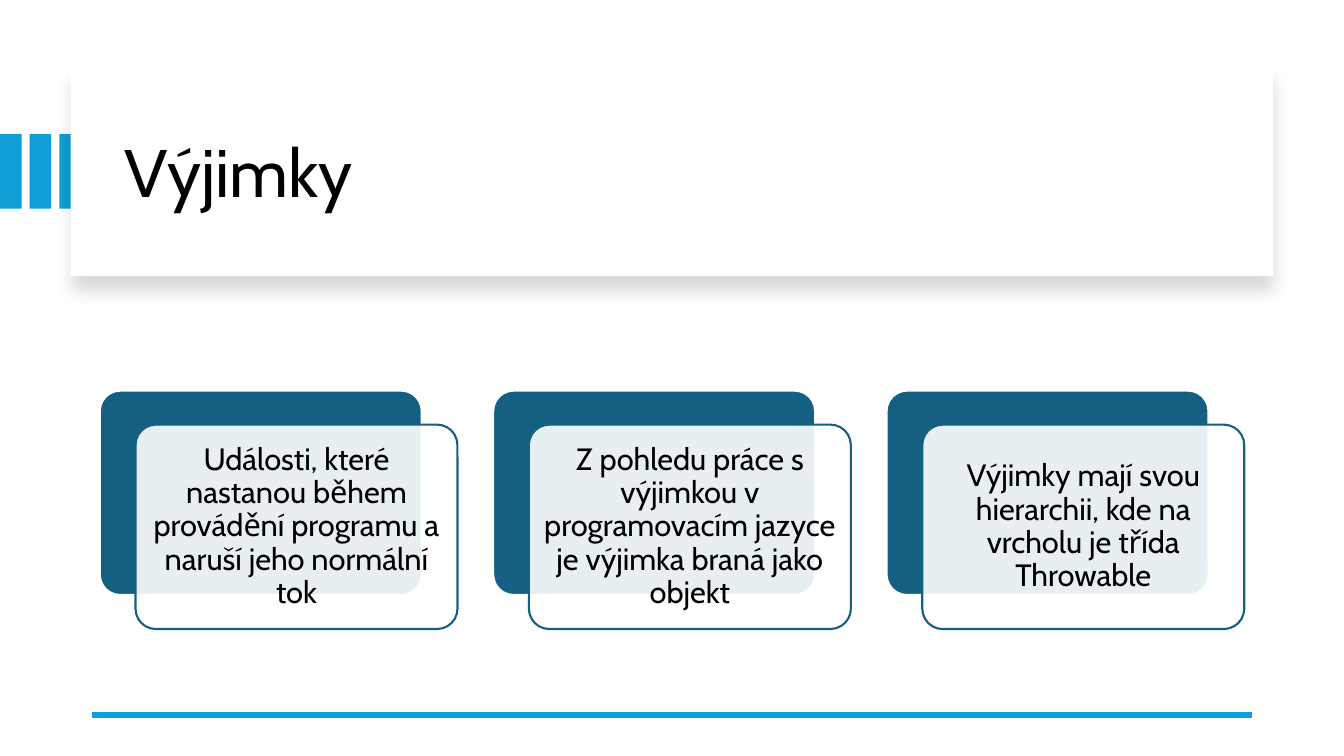
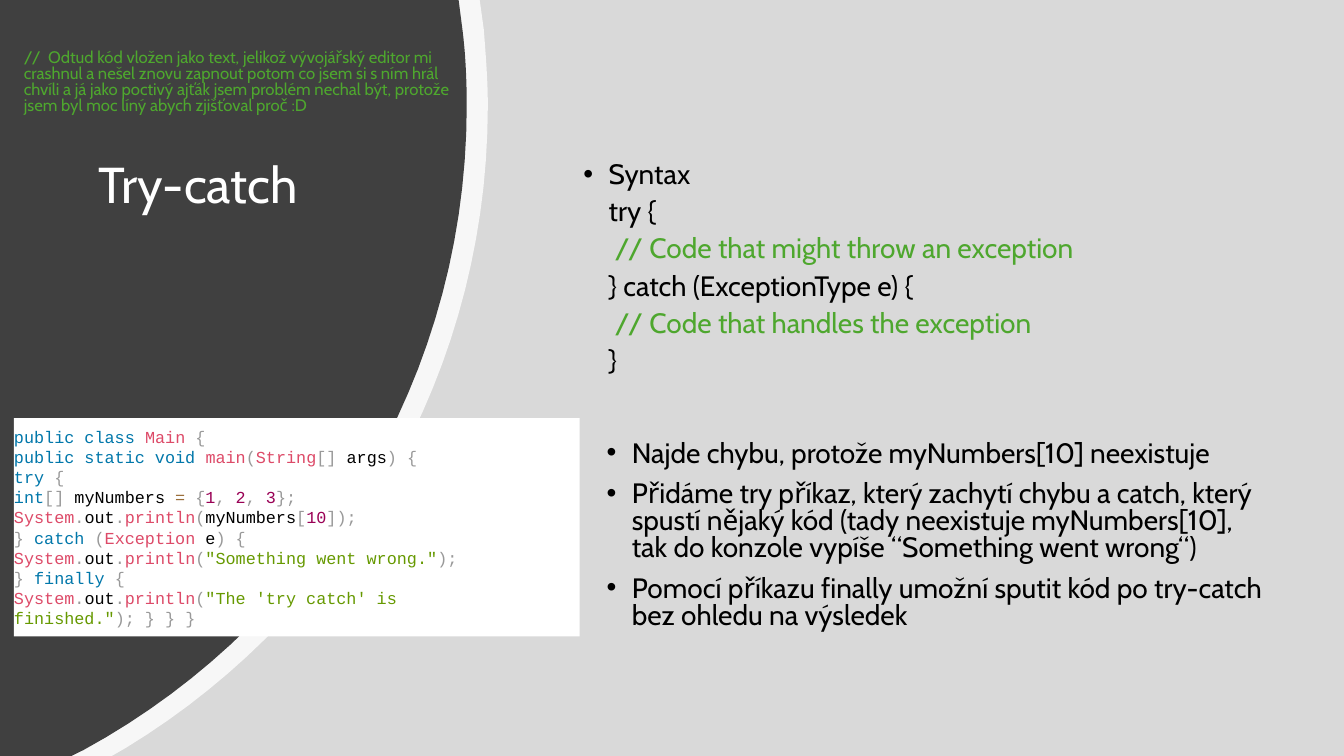
from lxml.etree import SubElement
from pptx import Presentation
from pptx.dml.color import RGBColor
from pptx.enum.shapes import MSO_CONNECTOR, MSO_SHAPE
from pptx.enum.text import MSO_ANCHOR, PP_ALIGN
from pptx.oxml.ns import qn
from pptx.util import Pt

WHITE = RGBColor(0xFF, 0xFF, 0xFF)
BLACK = RGBColor(0x00, 0x00, 0x00)
ACCENT = RGBColor(0x0F, 0x9E, 0xD5)
DEEP_BLUE = RGBColor(0x15, 0x60, 0x82)
LIGHT_GRAY = RGBColor(0xD9, 0xD9, 0xD9)
DARK_GRAY = RGBColor(0x40, 0x40, 0x40)
GREEN = RGBColor(0x4E, 0xA7, 0x2E)
# Syntax colours of the code listing
KEYWORD = RGBColor(0x00, 0x77, 0xAA)
NAME = RGBColor(0xDD, 0x4A, 0x68)
PUNCTUATION = RGBColor(0x99, 0x99, 0x99)
OPERATOR = RGBColor(0x9A, 0x6E, 0x3A)
NUMBER = RGBColor(0x99, 0x00, 0x55)
STRING = RGBColor(0x66, 0x99, 0x00)

BODY_FONT = "Cabin"
CODE_FONT = "Courier New"


def add_box(slide, preset, left, top, width, height, fill, line=None):
    shape = slide.shapes.add_shape(preset, Pt(left), Pt(top), Pt(width), Pt(height))
    shape.shadow.inherit = False
    shape.fill.solid()
    shape.fill.fore_color.rgb = fill
    if line is None:
        shape.line.fill.background()
    else:
        shape.line.color.rgb = line
        shape.line.width = Pt(1.5)
    return shape


def write_text(shape, lines, size, spacing, anchor=MSO_ANCHOR.TOP,
               align=PP_ALIGN.LEFT, font=BODY_FONT):
    """Each line is a list of (text, colour) pairs."""
    text_frame = shape.text_frame
    text_frame.word_wrap = True
    text_frame.vertical_anchor = anchor
    for index, line in enumerate(lines):
        paragraph = text_frame.add_paragraph() if index else text_frame.paragraphs[0]
        paragraph.alignment = align
        paragraph.line_spacing = spacing
        for text, colour in line:
            run = paragraph.add_run()
            run.text = text
            run.font.name = font
            run.font.size = Pt(size)
            run.font.color.rgb = colour
    return text_frame


presentation = Presentation()
presentation.slide_width = Pt(960)
presentation.slide_height = Pt(540)
blank_layout = presentation.slide_layouts[6]
overview = presentation.slides.add_slide(blank_layout)
try_catch = presentation.slides.add_slide(blank_layout)
translucent = []

# Overview: accent bars behind the title panel
for index in range(3):
    add_box(overview, MSO_SHAPE.RECTANGLE, index * 21.2, 95.8, 15.4, 53.3, ACCENT)
panel = add_box(overview, MSO_SHAPE.RECTANGLE, 50.5, 48.3, 859, 149, WHITE)
effects = panel._element.spPr.find(qn("a:effectLst"))
shadow = SubElement(effects, qn("a:outerShdw"), blurRad=str(Pt(11)), dist=str(Pt(10)),
                    dir="5400000", algn="t", rotWithShape="0")
shadow_colour = SubElement(shadow, qn("a:srgbClr"), val=str(BLACK))
SubElement(shadow_colour, qn("a:alpha"), val="15000")

# Overview: bottom rule
rule = overview.shapes.add_connector(MSO_CONNECTOR.STRAIGHT, Pt(894), Pt(510.5), Pt(66), Pt(510.5))
rule.line.color.rgb = ACCENT
rule.line.width = Pt(4.5)
SubElement(rule._element.spPr, qn("a:effectLst"))

# Overview: stacked cards
card_texts = [
    "Události, které nastanou během provádění programu a naruší jeho normální tok",
    "Z pohledu práce s výjimkou v programovacím jazyce je výjimka braná jako objekt",
    "Výjimky mají svou hierarchii, kde na vrcholu je třída Throwable",
]
for index, text in enumerate(card_texts):
    left = 71.3 + index * 281
    back = add_box(overview, MSO_SHAPE.ROUNDED_RECTANGLE, left, 279, 230, 146, DEEP_BLUE, WHITE)
    front = add_box(overview, MSO_SHAPE.ROUNDED_RECTANGLE, left + 25.5, 303.3, 230, 146,
                    WHITE, DEEP_BLUE)
    for card in (back, front):
        card.adjustments[0] = 0.1
    translucent.append((front, 90))
    text_frame = write_text(front, [[(text, BLACK)]], 22, 0.9, MSO_ANCHOR.MIDDLE, PP_ALIGN.CENTER)
    text_frame.margin_left = text_frame.margin_right = Pt(6.5)
    text_frame.margin_top = text_frame.margin_bottom = Pt(6.5)

# Try-catch: gray ground and two curved bands
add_box(try_catch, MSO_SHAPE.RECTANGLE, 0, 0, 960, 540, LIGHT_GRAY)
bands = [  # fill, opacity, top edge, curve points, bottom edge
    (WHITE, 80, 342.7, [(345.6, 20.9), (347, 38.9), (348.5, 57.6), (348.5, 75.6),
                        (348.5, 270), (244.8, 440), (90, 534.2)], 79.9),
    (DARK_GRAY, 100, 327.6, [(330.5, 22.3), (332.6, 39.6), (333.4, 57.6), (333.4, 75.6),
                             (333.4, 274.3), (222.5, 447), (59.8, 535.7)], 51.1),
]
STEPS = 30
for fill, opacity, top_edge, curve, bottom_edge in bands:
    outline = [(top_edge, 0), curve[0]]
    for start in (0, 3):
        controls = curve[start:start + 4]
        for step in range(1, STEPS + 1):
            t = step / STEPS
            weights = ((1 - t) ** 3, 3 * t * (1 - t) ** 2, 3 * t ** 2 * (1 - t), t ** 3)
            outline.append(tuple(sum(weight * point[axis] for weight, point in zip(weights, controls))
                                 for axis in (0, 1)))
    outline += [(bottom_edge, 540), (0, 540)]
    builder = try_catch.shapes.build_freeform(0, 0)
    builder.add_line_segments([(Pt(x), Pt(y)) for x, y in outline], close=True)
    band = builder.convert_to_shape()
    band.shadow.inherit = False
    band.fill.solid()
    band.fill.fore_color.rgb = fill
    band.line.fill.background()
    if opacity < 100:
        translucent.append((band, opacity))

# Try-catch: syntax, side note and explanation
syntax = [
    [("Syntax", BLACK)],
    [("try {", BLACK)],
    [(" ", BLACK), ("// Code that might throw an exception", GREEN)],
    [("} catch (ExceptionType e) {", BLACK)],
    [(" ", BLACK), ("// Code that handles the exception", GREEN)],
    [("}", BLACK)],
]
note = [[("//  Odtud kód vložen jako text, jelikož vývojářský editor mi crashnul a nešel znovu "
          "zapnout potom co jsem si s ním hrál chvíli a já jako poctivý ajťák jsem problém "
          "nechal být, protože jsem byl moc líný abych zjišťoval proč :D", GREEN)]]
explanation = [
    [("Najde chybu, protože myNumbers[10] neexistuje", BLACK)],
    [("Přidáme try příkaz, který zachytí chybu a catch, který spustí nějaký kód (tady "
      "neexistuje myNumbers[10], tak do konzole vypíše “Something went wrong“)", BLACK)],
    [("Pomocí příkazu finally umožní sputit kód po try-catch bez ohledu na výsledek", BLACK)],
]
text_blocks = [  # lines, frame, size, line spacing, space before, bulleted lines
    (syntax, (409.7, 110.9, 483, 178.6), 20, 0.9, 5, 1),
    (note, (10, 33, 327.6, 60), 11.9, 0.8, 0, 0),
    (explanation, (426.2, 311.8, 483, 156), 20, 0.8, 10, 3),
]
for lines, frame, size, spacing, space_before, bullet_count in text_blocks:
    box = try_catch.shapes.add_textbox(*[Pt(value) for value in frame])
    paragraphs = write_text(box, lines, size, spacing).paragraphs
    for index, paragraph in enumerate(paragraphs):
        if index:
            paragraph.space_before = Pt(space_before)
        if bullet_count:
            properties = paragraph._p.get_or_add_pPr()
            bulleted = index < bullet_count
            properties.set("marL", str(Pt(18)))
            properties.set("indent", str(Pt(-18 if bulleted else 0)))
            if bulleted:
                SubElement(properties, qn("a:buFont"), typeface="Arial")
                SubElement(properties, qn("a:buChar"), char="•")

# Try-catch: code listing
println = [("System", NAME), (".", PUNCTUATION), ("out", BLACK), (".", PUNCTUATION),
           ("println", NAME), ("(", PUNCTUATION)]
code = [
    [("public class ", KEYWORD), ("Main ", NAME), ("{", PUNCTUATION)],
    [("public static void ", KEYWORD), ("main", NAME), ("(", PUNCTUATION), ("String", NAME),
     ("[] ", PUNCTUATION), ("args", BLACK), (") {", PUNCTUATION)],
    [("try ", KEYWORD), ("{", PUNCTUATION)],
    [("int", KEYWORD), ("[] ", PUNCTUATION), ("myNumbers ", BLACK), ("= ", OPERATOR),
     ("{", PUNCTUATION), ("1", NUMBER), (", ", PUNCTUATION), ("2", NUMBER),
     (", ", PUNCTUATION), ("3", NUMBER), ("};", PUNCTUATION)],
    println + [("myNumbers", BLACK), ("[", PUNCTUATION), ("10", NUMBER), ("]);", PUNCTUATION)],
    [("} ", PUNCTUATION), ("catch ", KEYWORD), ("(", PUNCTUATION), ("Exception", NAME),
     (" e", BLACK), (") {", PUNCTUATION)],
    println + [('"Something went wrong."', STRING), (");", PUNCTUATION)],
    [("} ", PUNCTUATION), ("finally ", KEYWORD), ("{", PUNCTUATION)],
    println + [('"The \'try catch\' is finished."', STRING), ("); } } }", PUNCTUATION)],
]
listing = add_box(try_catch, MSO_SHAPE.RECTANGLE, 10, 298.6, 404, 156, WHITE)
text_frame = write_text(listing, code, 12, 1.0, MSO_ANCHOR.MIDDLE, font=CODE_FONT)
text_frame.margin_left = text_frame.margin_right = 0
text_frame.margin_top = text_frame.margin_bottom = Pt(0)

# Titles
titles = [
    (overview, "Výjimky", (82, 64, 801, 122.4), 48, BLACK, MSO_ANCHOR.MIDDLE),
    (try_catch, "Try-catch", (63.4, 110.9, 226, 170), 36, WHITE, MSO_ANCHOR.TOP),
]
for slide, text, frame, size, colour, anchor in titles:
    title = slide.shapes.add_textbox(*[Pt(value) for value in frame])
    write_text(title, [[(text, colour)]], size, 0.9, anchor)

# Transparency
for shape, opacity in translucent:
    colour = shape._element.spPr.find(qn("a:solidFill")).find(qn("a:srgbClr"))
    SubElement(colour, qn("a:alpha"), val=str(opacity * 1000))

presentation.save("out.pptx")
